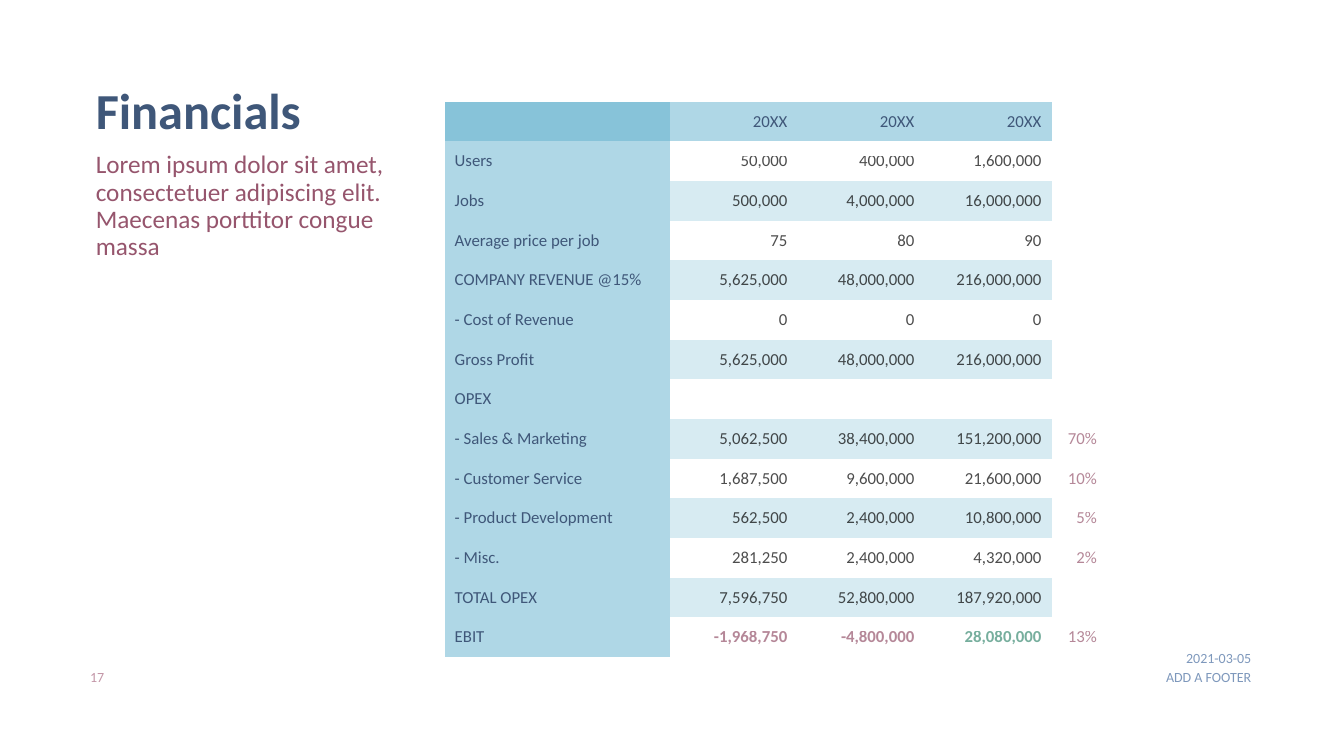
from lxml.etree import SubElement
from pptx import Presentation
from pptx.dml.color import RGBColor
from pptx.enum.text import MSO_ANCHOR, PP_ALIGN
from pptx.oxml.ns import qn
from pptx.util import Inches, Pt

NAVY = RGBColor(0x3F, 0x57, 0x79)
PLUM = RGBColor(0x96, 0x55, 0x6D)
PALE_PLUM = RGBColor(0xC3, 0x96, 0xA7)
STEEL = RGBColor(0x7E, 0x98, 0xBC)
GREEN = RGBColor(0x3D, 0x8C, 0x74)
BLACK = RGBColor(0x00, 0x00, 0x00)
CORNER_BLUE = RGBColor(0x87, 0xC3, 0xD9)
HEADER_BLUE = RGBColor(0xAF, 0xD7, 0xE6)
BAND_BLUE = RGBColor(0xD7, 0xEB, 0xF2)

FONT = "Calibri"
NO_STYLE_NO_GRID = "{2D5ABB26-0587-4C30-8999-92F81FD0307C}"
COLUMN_WIDTHS = (2.24, 1.26, 1.26, 1.26, 0.55)
SHARE_COLUMN = len(COLUMN_WIDTHS) - 1

FINANCIALS = (
    ("", "20XX", "20XX", "20XX", ""),
    ("Users", "50,000", "400,000", "1,600,000", ""),
    ("Jobs", "500,000", "4,000,000", "16,000,000", ""),
    ("Average price per job", "75", "80", "90", ""),
    ("COMPANY REVENUE @15%", "5,625,000", "48,000,000", "216,000,000", ""),
    ("- Cost of Revenue", "0", "0", "0", ""),
    ("Gross Profit", "5,625,000", "48,000,000", "216,000,000", ""),
    ("OPEX", "", "", "", ""),
    ("- Sales & Marketing", "5,062,500", "38,400,000", "151,200,000", "70%"),
    ("- Customer Service", "1,687,500", "9,600,000", "21,600,000", "10%"),
    ("- Product Development", "562,500", "2,400,000", "10,800,000", "5%"),
    ("- Misc.", "281,250", "2,400,000", "4,320,000", "2%"),
    ("TOTAL OPEX", "7,596,750", "52,800,000", "187,920,000", ""),
    ("EBIT", "-1,968,750", "-4,800,000", "28,080,000", "13%"),
)


def style_paragraph(para, size, color, bold=False, align=PP_ALIGN.LEFT, opacity=100):
    para.alignment = align
    for span in para.runs:
        span.font.name = FONT
        span.font.size = Pt(size)
        span.font.bold = bold
        span.font.color.rgb = color
        if opacity < 100:
            for color_element in span.font._element.iter(qn("a:srgbClr")):
                SubElement(color_element, qn("a:alpha"), val=str(opacity * 1000))


def add_text(slide, box, text, size, color, inset=0.1, anchor=MSO_ANCHOR.TOP,
             line_spacing=1.0, **style):
    frame = slide.shapes.add_textbox(*map(Inches, box)).text_frame
    frame.word_wrap = True
    frame.vertical_anchor = anchor
    frame.margin_left = Inches(inset)
    frame.margin_top = frame.margin_right = frame.margin_bottom = 0
    frame.text = text
    para = frame.paragraphs[0]
    para.line_spacing = line_spacing
    style_paragraph(para, size, color, **style)


def add_heading(slide, box):
    """Place the title, with the introduction below it."""
    left, top, width, height = box
    add_text(slide, (left, top, width, 0.62), "Financials", 36, NAVY, inset=0.04,
             anchor=MSO_ANCHOR.MIDDLE, line_spacing=0.9, bold=True)
    add_text(slide, (left, top + 0.7, width, height - 0.7),
             "Lorem ipsum dolor sit amet, consectetuer adipiscing elit. "
             "Maecenas porttitor congue massa", 18, PLUM, inset=0.04, line_spacing=0.9)


def cell_fill(row, column):
    if column == SHARE_COLUMN:
        return None
    if row == 0 and column == 0:
        return CORNER_BLUE
    if row == 0 or column == 0:
        return HEADER_BLUE
    return BAND_BLUE if row % 2 == 0 else None


def cell_style(row, column, text):
    if row == 0 or column == 0:
        align = PP_ALIGN.RIGHT if column else PP_ALIGN.LEFT
        return {"color": NAVY, "align": align}
    is_result = row == len(FINANCIALS) - 1 and column < SHARE_COLUMN
    color = BLACK
    if column == SHARE_COLUMN:
        color = PLUM
    elif is_result:
        color = PLUM if text.startswith("-") else GREEN
    return {"color": color, "bold": is_result, "align": PP_ALIGN.RIGHT, "opacity": 70}


def add_financial_table(slide, box):
    frame = slide.shapes.add_table(len(FINANCIALS), len(COLUMN_WIDTHS), *map(Inches, box))
    for style_id in frame._element.iter(qn("a:tableStyleId")):
        style_id.text = NO_STYLE_NO_GRID
    table = frame.table
    table.first_row = table.horz_banding = False
    for column, width in zip(table.columns, COLUMN_WIDTHS):
        column.width = Inches(width)
    for row, texts in enumerate(FINANCIALS):
        table.rows[row].height = Inches(box[3] / len(FINANCIALS))
        for column, text in enumerate(texts):
            cell = table.cell(row, column)
            cell.margin_top = cell.margin_bottom = 0
            cell.vertical_anchor = MSO_ANCHOR.MIDDLE
            fill = cell_fill(row, column)
            if fill is None:
                cell.fill.background()
            else:
                cell.fill.solid()
                cell.fill.fore_color.rgb = fill
            if text:
                cell.text_frame.text = text
                style_paragraph(cell.text_frame.paragraphs[0], 12,
                                **cell_style(row, column, text))


def add_footer(slide, box):
    """Place the page number at the left, the date and footer at the right."""
    left, top, width, height = box
    line = height / 2
    right = left + width
    add_text(slide, (left, top + line + 0.02, 0.43, line), "17", 10, PALE_PLUM,
             align=PP_ALIGN.CENTER)
    add_text(slide, (right - 1.18, top, 1.18, line), "2021-03-05", 10, STEEL,
             anchor=MSO_ANCHOR.BOTTOM, align=PP_ALIGN.RIGHT)
    add_text(slide, (right - 4.5, top + line + 0.02, 4.5, line), "ADD A FOOTER", 10, STEEL,
             align=PP_ALIGN.RIGHT)


def main():
    deck = Presentation()
    deck.slide_width, deck.slide_height = Inches(13.33), Inches(7.5)
    slide = deck.slides.add_slide(deck.slide_layouts[6])
    add_heading(slide, (0.91, 0.81, 3.02, 2.48))
    add_financial_table(slide, (4.41, 1.01, sum(COLUMN_WIDTHS), 5.51))
    add_footer(slide, (0.7, 6.35, 11.71, 0.52))
    deck.save("out.pptx")


if __name__ == "__main__":
    main()
